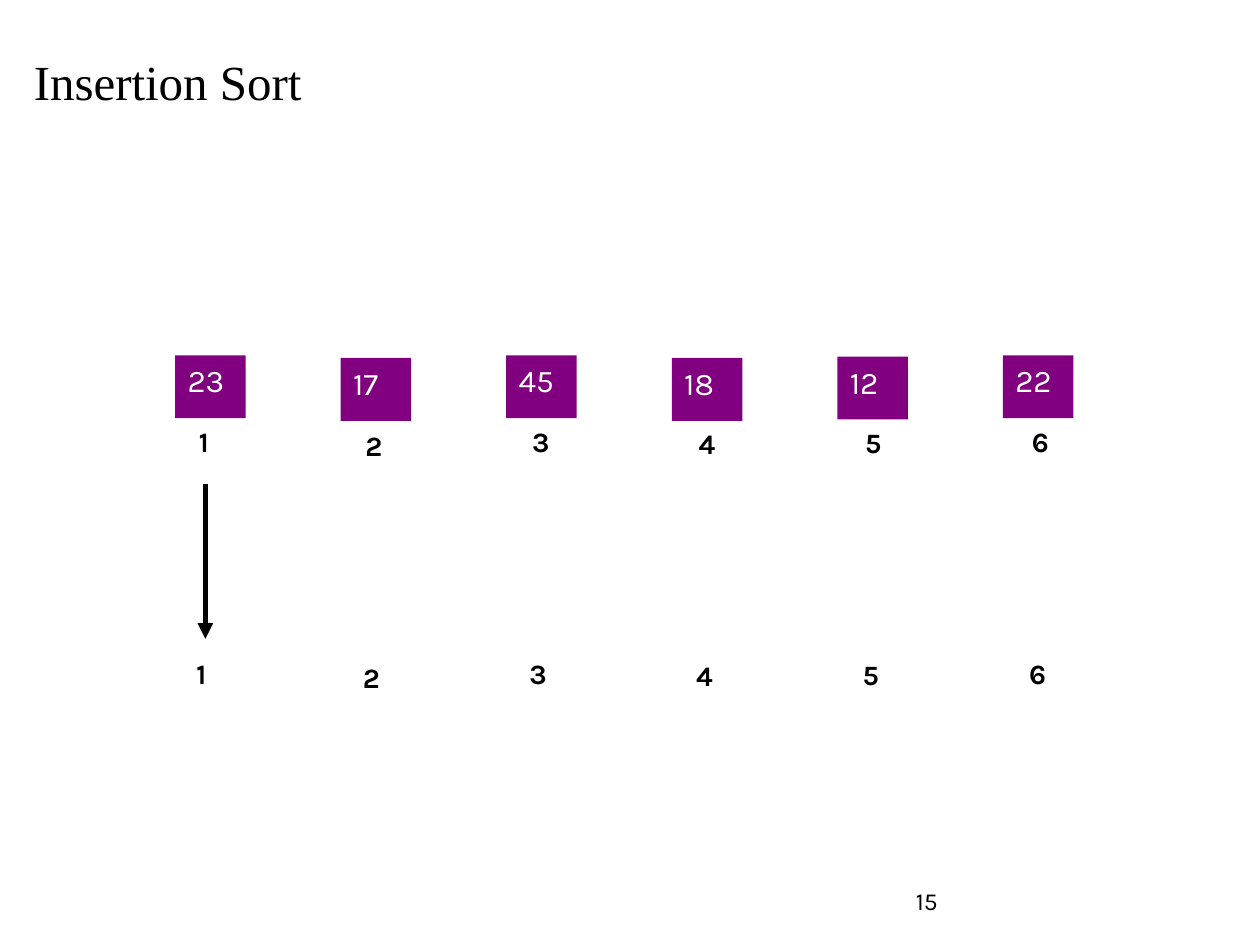
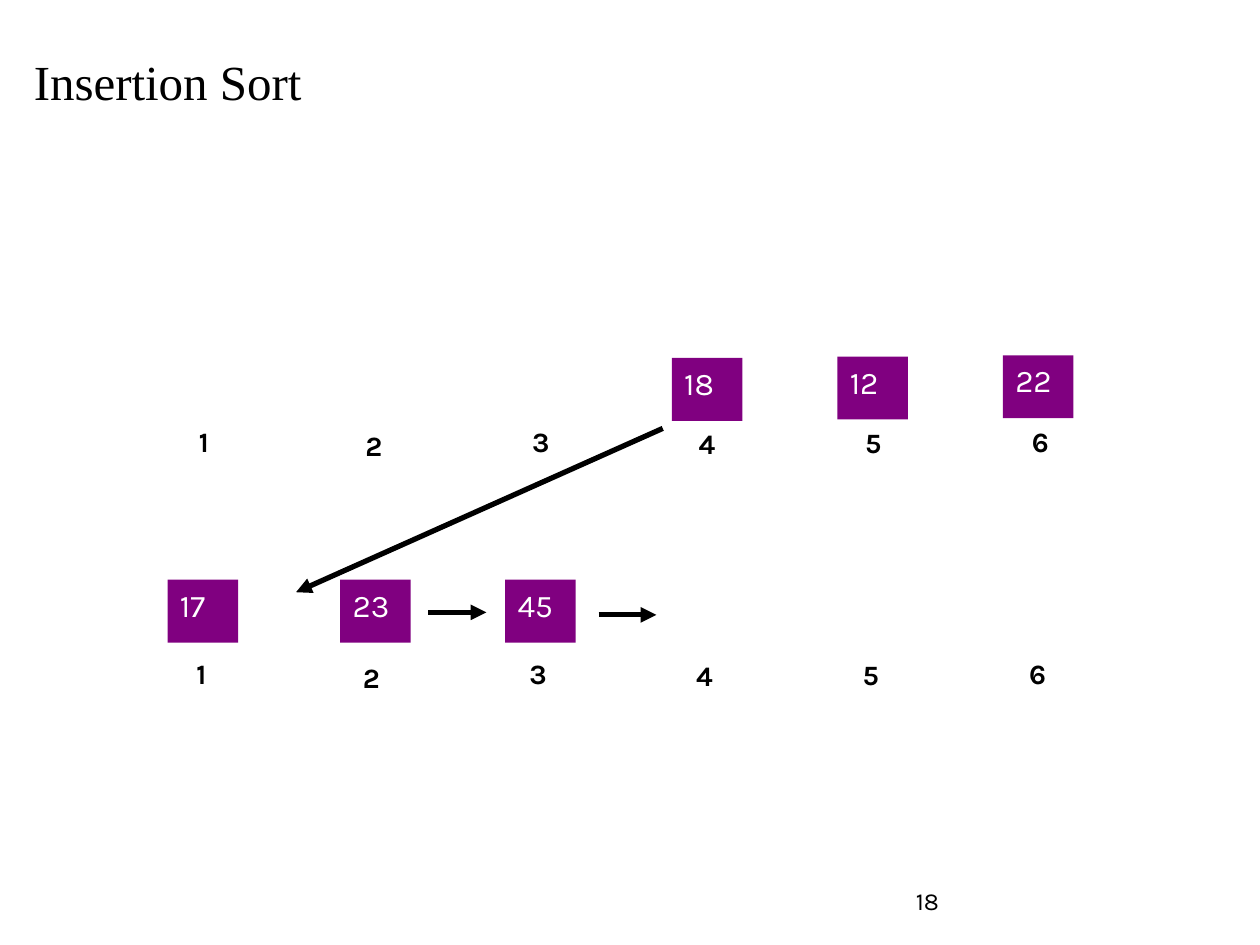
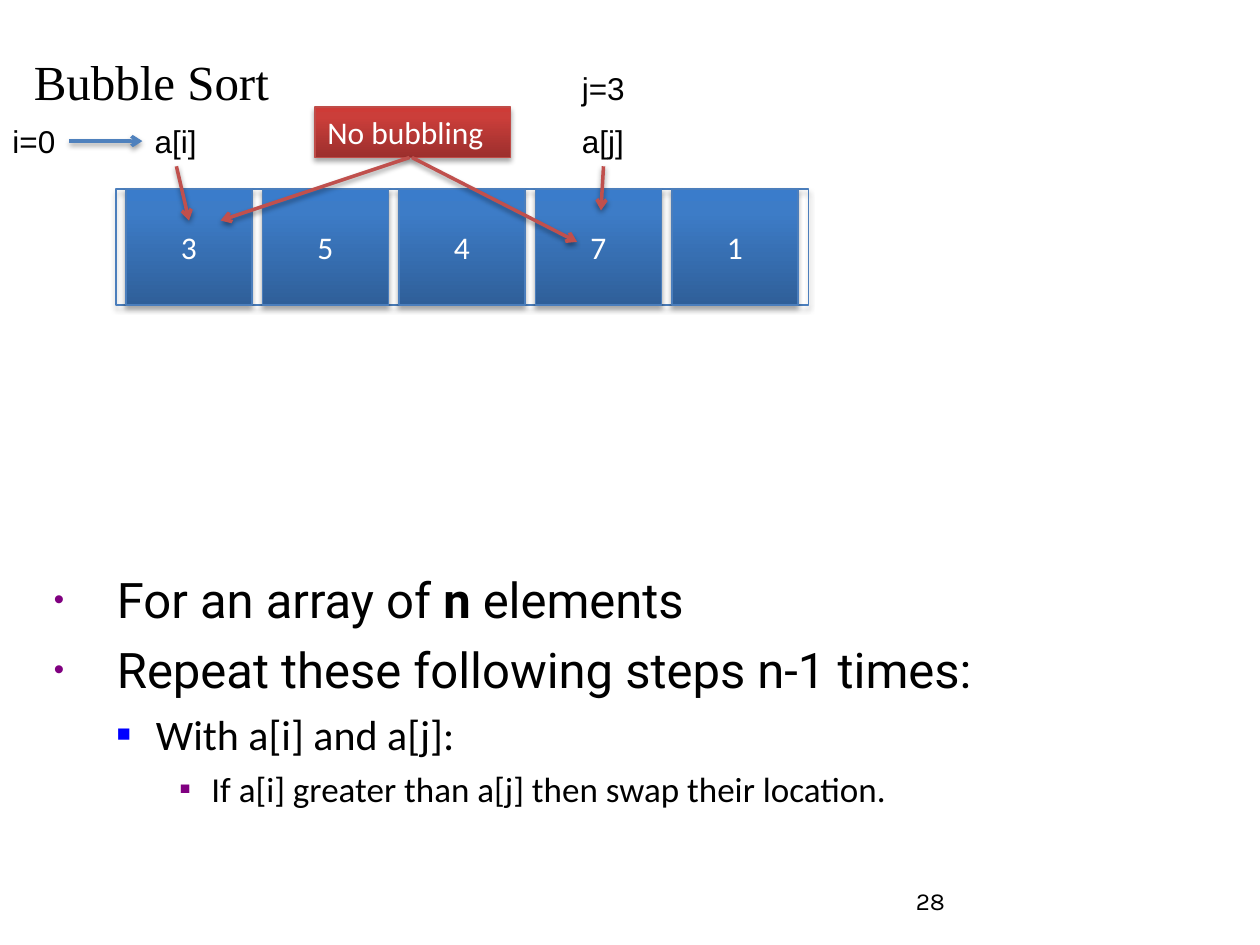
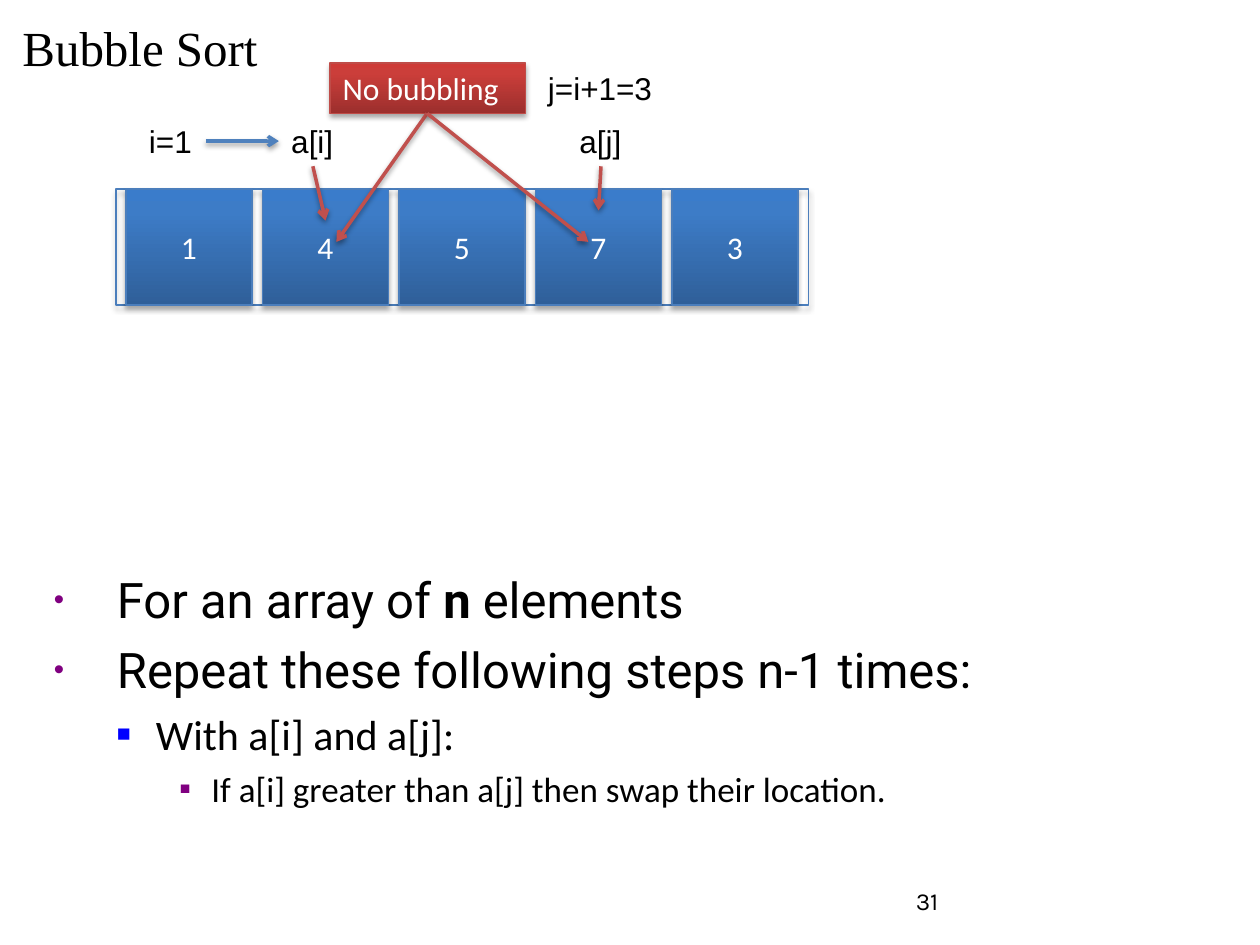
from lxml import etree
from pptx import Presentation
from pptx.dml.color import RGBColor
from pptx.enum.shapes import MSO_CONNECTOR, MSO_SHAPE
from pptx.enum.text import MSO_ANCHOR, MSO_AUTO_SIZE, PP_ALIGN
from pptx.oxml import parse_xml
from pptx.oxml.ns import qn
from pptx.util import Inches, Pt

BLACK = RGBColor(0x00, 0x00, 0x00)
WHITE = RGBColor(0xFF, 0xFF, 0xFF)
PURPLE = RGBColor(0x80, 0x00, 0x80)
BLUE = RGBColor(0x00, 0x00, 0xFF)
CELL_LINE = RGBColor(0x4B, 0x7E, 0xBC)
NOTE_LINE = RGBColor(0xBF, 0x4C, 0x48)
RED_ARROW = RGBColor(0xC0, 0x50, 0x4D)
BLUE_ARROW = RGBColor(0x4F, 0x81, 0xBD)
CELL_STOPS = ((0, RGBColor(0x2F, 0x5F, 0x99)), (80, RGBColor(0x3D, 0x7C, 0xC7)),
              (100, RGBColor(0x3A, 0x7C, 0xCB)))
NOTE_STOPS = ((0, RGBColor(0x9C, 0x2F, 0x2D)), (80, RGBColor(0xCB, 0x3E, 0x3A)),
              (100, RGBColor(0xCE, 0x3B, 0x37)))
DRAWING = "http://schemas.openxmlformats.org/drawingml/2006/main"

INSERTION_SLIDES = [
    {
        "number": "15",
        "source": [23, 17, 45, 18, 12, 22],
        "sorted": [],
        "arrows": [((1.63, 3.84), (1.63, 5.07))],
    },
    {
        "number": "18",
        "source": [None, None, None, 18, 12, 22],
        "sorted": [(17, 1.33), (23, 2.7), (45, 4.01)],
        "arrows": [((5.26, 3.4), (2.35, 4.7)), ((3.4, 4.86), (3.86, 4.86)),
                   ((4.75, 4.88), (5.21, 4.88))],
    },
]
BUBBLE_SLIDES = [
    {
        "number": "28", "title_at": (0.17, 0.3), "values": [3, 5, 4, 7, 1],
        "i": 0, "j_text": "j=3", "j_text_at": (4.52, 0.56), "j_left": 4.52,
        "note_at": (2.5, 0.85),
        "note_arrows": [((3.25, 1.25), (1.75, 1.75)), ((3.27, 1.25), (4.58, 1.92))],
    },
    {
        "number": "31", "title_at": (0.08, 0.03), "values": [1, 4, 5, 7, 3],
        "i": 1, "j_text": "j=i+1=3", "j_text_at": (4.25, 1.05), "j_left": 4.5,
        "note_at": (2.62, 0.5),
        "note_arrows": [((3.39, 0.9), (2.67, 1.92)), ((3.39, 0.9), (4.67, 1.92))],
    },
]
STEPS = [
    {"spans": [("For an array of ", False), ("n", True), (" elements", False)],
     "level": 0, "font": "Roboto", "size": 28, "before": 0,
     "indent": (0.5, -0.5), "bullet": ("•", PURPLE, 60)},
    {"spans": [("Repeat these following steps n-1 times:", False)],
     "level": 0, "font": "Roboto", "size": 28, "before": 6.5,
     "indent": (0.5, -0.5), "bullet": ("•", PURPLE, 60)},
    {"spans": [("With a[i] and a[j]:", False)],
     "level": 1, "font": "Calibri", "size": 24, "before": 5.8,
     "indent": (0.81, -0.31), "bullet": ("■", BLUE, 55)},
    {"spans": [("If a[i] greater than a[j] then swap their location.", False)],
     "level": 2, "font": "Calibri", "size": 20, "before": 4.9,
     "indent": (1.25, -0.25), "bullet": ("■", PURPLE, 50)},
]

SQUARE_PITCH = (7.96 - 1.39) / 5
SQUARE_DIPS = (0, 0.02, 0, 0.02, 0.01, 0)
INDEX_PITCH = (8.09 - 1.48) / 5
INDEX_DIPS = (0, 0.03, 0, 0.02, 0.01, 0)
INDEX_ROWS = ((1.48, 3.32), (1.46, 5.16))
CELL_PITCH = 13 / 12
CELL_TOP, CELL_HEIGHT = 1.5, 0.92


def add_span(para, text, font, size, color, bold=False):
    span = para.add_run()
    span.text = text
    span.font.name = font
    span.font.size = Pt(size)
    span.font.bold = bold
    span.font.color.rgb = color


def add_text(page, text, area, font, size, color=BLACK, bold=False, wrap=True):
    box = page.shapes.add_textbox(*map(Inches, area))
    frame = box.text_frame
    frame.word_wrap = wrap
    if not wrap:
        frame.auto_size = MSO_AUTO_SIZE.SHAPE_TO_FIT_TEXT
    add_span(frame.paragraphs[0], text, font, size, color, bold)
    return box


def add_rectangle(page, area):
    shape = page.shapes.add_shape(MSO_SHAPE.RECTANGLE, *map(Inches, area))
    shape.shadow.inherit = False
    shape.fill.background()
    shape.line.fill.background()
    frame = shape.text_frame
    frame.vertical_anchor = MSO_ANCHOR.TOP
    frame.paragraphs[0].alignment = PP_ALIGN.LEFT
    return shape


def set_effects(shape, opacity=None, distance=0):
    properties = shape._element.spPr
    effects = properties.find(qn("a:effectLst"))
    if effects is None:
        effects = etree.SubElement(properties, qn("a:effectLst"))
    if opacity:
        effects.append(parse_xml(
            f'<a:outerShdw xmlns:a="{DRAWING}" blurRad="{Pt(3.1)}" dist="{Pt(distance)}" '
            f'dir="5400000" rotWithShape="0"><a:srgbClr val="{BLACK}">'
            f'<a:alpha val="{opacity * 1000}"/></a:srgbClr></a:outerShdw>'))


def add_raised_rectangle(page, area, line, stops=None):
    shape = add_rectangle(page, area)
    shape.line.color.rgb = line
    shape.line.width = Pt(0.75)
    if stops:
        marks = "".join(f'<a:gs pos="{place * 1000}"><a:srgbClr val="{color}"/></a:gs>'
                        for place, color in stops)
        properties = shape._element.spPr
        properties.replace(properties.find(qn("a:noFill")), parse_xml(
            f'<a:gradFill xmlns:a="{DRAWING}" rotWithShape="1"><a:gsLst>{marks}</a:gsLst>'
            '<a:lin ang="16200000" scaled="0"/></a:gradFill>'))
    set_effects(shape, 35, 1.8)
    return shape


def add_arrow(page, start, end, color, width, head, shadow=False):
    arrow = page.shapes.add_connector(MSO_CONNECTOR.STRAIGHT, *map(Inches, start + end))
    arrow.line.color.rgb = color
    arrow.line.width = Pt(width)
    etree.SubElement(arrow.line._get_or_add_ln(), qn("a:tailEnd"), type=head)
    set_effects(arrow, 38 if shadow else None, 1.6)


def add_page(deck, title, number, title_at=(0.17, 0.3)):
    page = deck.slides.add_slide(deck.slide_layouts[6])
    box = add_text(page, title, title_at + (9.67, 0.87), "Times New Roman", 28)
    box.text_frame.margin_top = Inches(0.11)
    add_text(page, number, (7.17, 6.98, 2.33, 0.52), "Karla", 14)
    return page


def add_square(page, value, left, top):
    square = add_rectangle(page, (left, top, 0.56, 0.5))
    square.fill.solid()
    square.fill.fore_color.rgb = PURPLE
    add_span(square.text_frame.paragraphs[0], str(value), "Karla", 18, WHITE)


def add_insertion_slide(deck, content):
    page = add_page(deck, "Insertion Sort", content["number"])
    for column, value in enumerate(content["source"]):
        if value is not None:
            add_square(page, value, 1.39 + column * SQUARE_PITCH, 2.82 + SQUARE_DIPS[column])
    for value, left in content["sorted"]:
        add_square(page, value, left, 4.6)
    for left, top in INDEX_ROWS:
        for column, dip in enumerate(INDEX_DIPS):
            area = (left + column * INDEX_PITCH, top + dip, 0.31, 0.37)
            add_text(page, str(column + 1), area, "Karla", 16, bold=True, wrap=False)
    for start, end in content["arrows"]:
        add_arrow(page, start, end, BLACK, 3, "triangle")


def add_steps(page):
    box = page.shapes.add_textbox(*map(Inches, (0.33, 4.47, 7.83, 2.58)))
    frame = box.text_frame
    frame.word_wrap = True
    for order, step in enumerate(STEPS):
        para = frame.add_paragraph() if order else frame.paragraphs[0]
        para.level = step["level"]
        properties = para._p.get_or_add_pPr()
        left, first = step["indent"]
        properties.set("marL", str(Inches(left)))
        properties.set("indent", str(Inches(first)))
        mark, color, percent = step["bullet"]
        tint = etree.SubElement(properties, qn("a:buClr"))
        etree.SubElement(tint, qn("a:srgbClr"), val=str(color))
        etree.SubElement(properties, qn("a:buSzPct"), val=str(percent * 1000))
        etree.SubElement(properties, qn("a:buFont"), typeface="Arial")
        etree.SubElement(properties, qn("a:buChar"), char=mark)
        if step["before"]:
            para.space_before = Pt(step["before"])
        for text, bold in step["spans"]:
            add_span(para, text, step["font"], step["size"], BLACK, bold)


def add_array(page, values):
    add_raised_rectangle(page, (0.92, CELL_TOP, 5.5, CELL_HEIGHT), CELL_LINE)
    for column, value in enumerate(values):
        area = (1 + column * CELL_PITCH, CELL_TOP, 1, CELL_HEIGHT)
        cell = add_raised_rectangle(page, area, CELL_LINE, CELL_STOPS)
        cell.text_frame.vertical_anchor = MSO_ANCHOR.MIDDLE
        para = cell.text_frame.paragraphs[0]
        para.alignment = PP_ALIGN.CENTER
        add_span(para, str(value), "Calibri", 18, WHITE)


def add_bubble_slide(deck, content):
    page = add_page(deck, "Bubble Sort", content["number"], content["title_at"])
    add_steps(page)
    add_array(page, content["values"])

    shift = content["i"] * CELL_PITCH
    j_left = content["j_left"]
    j_text_left, j_text_width = content["j_text_at"]
    labels = [
        (f"i={content['i']}", shift, 0.92, 0.55),
        ("a[i]", shift + 1.13, 0.92, 0.54),
        (content["j_text"], j_text_left, 0.5, j_text_width),
        ("a[j]", j_left, 0.92, 0.54),
    ]
    for text, left, top, width in labels:
        add_text(page, text, (left, top, width, 0.4), "Arial", 18, wrap=False)

    note = add_raised_rectangle(page, content["note_at"] + (1.55, 0.4), NOTE_LINE, NOTE_STOPS)
    note.text_frame.word_wrap = False
    note.text_frame.auto_size = MSO_AUTO_SIZE.SHAPE_TO_FIT_TEXT
    add_span(note.text_frame.paragraphs[0], "No bubbling", "Calibri", 18, WHITE)

    add_arrow(page, (shift + 0.55, 1.12), (shift + 1.13, 1.12), BLUE_ARROW, 2, "arrow", True)
    red_arrows = [
        ((shift + 1.4, 1.32), (shift + 1.5, 1.75)),
        ((j_left + 0.27, 1.32), (j_left + 0.25, 1.67)),
    ] + content["note_arrows"]
    for start, end in red_arrows:
        add_arrow(page, start, end, RED_ARROW, 2, "arrow", True)


def main():
    deck = Presentation()
    deck.slide_width = Inches(10)
    deck.slide_height = Inches(7.5)
    for content in INSERTION_SLIDES:
        add_insertion_slide(deck, content)
    for content in BUBBLE_SLIDES:
        add_bubble_slide(deck, content)
    deck.save("out.pptx")


if __name__ == "__main__":
    main()
